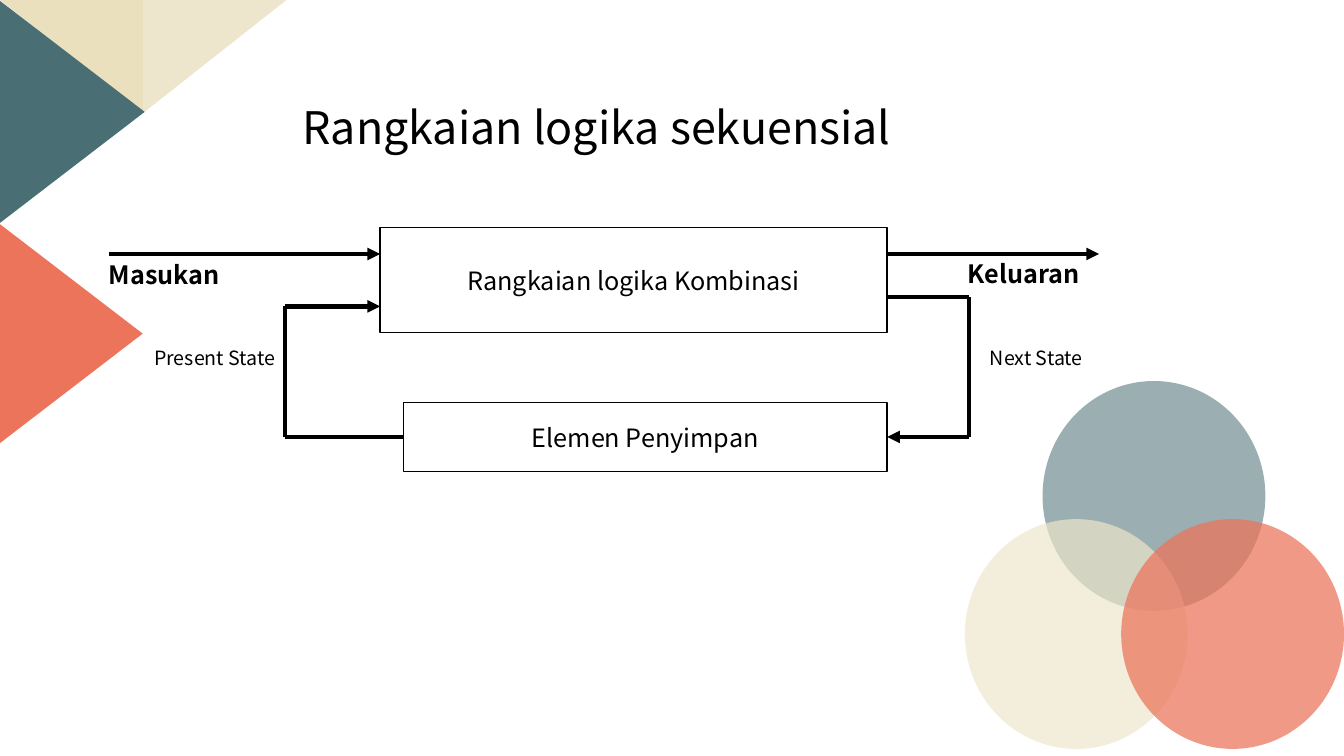
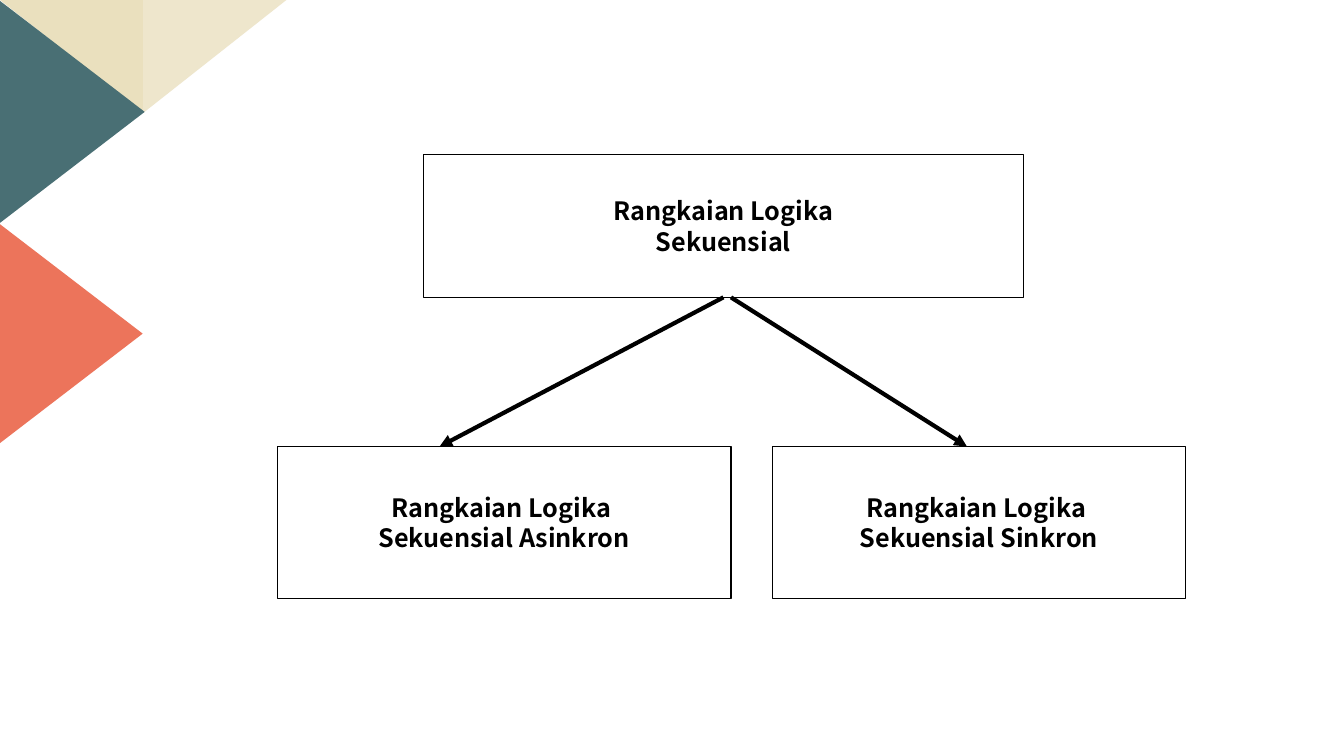
"""Two slides on sequential logic circuits: a block diagram and a classification tree."""
from lxml.etree import SubElement
from pptx import Presentation
from pptx.dml.color import RGBColor
from pptx.enum.shapes import MSO_CONNECTOR, MSO_SHAPE as SHAPE
from pptx.enum.text import MSO_ANCHOR as ANCHOR, MSO_AUTO_SIZE, PP_ALIGN as ALIGN
from pptx.oxml.ns import qn
from pptx.util import Inches, Pt

FONT = "Noto Sans CJK KR"
COLORS = {"ink": "000000", "paper": "FFFFFF", "teal": "496F74",
          "coral": "EC745B", "sand": "EAE0BE", "cream": "EEE6CC"}

TITLE = ("Rangkaian logika sekuensial", (2.9, 1, 6.3, 0.59))

CORNER_TRIANGLES = [
    (SHAPE.RIGHT_TRIANGLE, (0, 0, 1.42, 1.12), "sand", 180, False),
    (SHAPE.RIGHT_TRIANGLE, (1.42, 0, 1.42, 1.12), "cream", 180, True),
    (SHAPE.ISOSCELES_TRIANGLE, (-0.39, 0.39, 2.21, 1.44), "teal", 90, False),
    (SHAPE.ISOSCELES_TRIANGLE, (-0.41, 2.59, 2.21, 1.44), "coral", 90, False),
]

CIRCLE_SIZE = (2.21, 2.28)
CIRCLES = [(10.34, 3.78, "teal", 55), (9.57, 5.15, "cream", 69), (11.12, 5.15, "coral", 73)]

COMBINATION = (["Rangkaian logika Kombinasi"], (3.77, 2.26, 5.03, 1.04))
STORAGE = (["Elemen Penyimpan"], (4, 3.99, 4.8, 0.69))
LABELS = [
    ("Masukan", (0.98, 2.52, 1.99, 0.44), 18, True),
    ("Keluaran", (9.5, 2.51, 1.59, 0.77), 18, True),
    ("Present State", (1.43, 3.38, 1.52, 0.62), 14, False),
    ("Next State", (9.72, 3.38, 1.18, 0.57), 14, False),
]

SEQUENTIAL = (["Rangkaian Logika", "Sekuensial"], (4.2, 1.53, 5.95, 1.42))
KINDS = [
    (["Rangkaian Logika ", "Sekuensial Asinkron"], (2.75, 4.43, 4.5, 1.51)),
    (["Rangkaian Logika ", "Sekuensial Sinkron"], (7.66, 4.43, 4.1, 1.51)),
]


def place(box):
    return [Inches(value) for value in box]


def write(frame, lines, size, bold=False, align=ALIGN.LEFT):
    frame.text = "\n".join(lines)
    for paragraph in frame.paragraphs:
        paragraph.alignment = align
        font = paragraph.font
        font.name, font.size, font.bold = FONT, Pt(size), bold
        font.color.rgb = RGBColor.from_string(COLORS["ink"])


def add_filled(slide, kind, box, color, alpha=None):
    shape = slide.shapes.add_shape(kind, *place(box))
    shape.shadow.inherit = False
    shape.fill.solid()
    shape.fill.fore_color.rgb = RGBColor.from_string(COLORS[color])
    shape.line.fill.background()
    if alpha is not None:
        tint = shape.element.spPr.find(qn("a:solidFill"))[0]
        SubElement(tint, qn("a:alpha")).set("val", str(alpha * 1000))
    return shape


def add_block(slide, block, bold=False):
    lines, box = block
    shape = add_filled(slide, SHAPE.RECTANGLE, box, "paper")
    shape.line.color.rgb = RGBColor.from_string(COLORS["ink"])
    shape.line.width = Pt(1)
    shape.text_frame.word_wrap = False
    shape.text_frame.vertical_anchor = ANCHOR.MIDDLE
    write(shape.text_frame, lines, 18, bold, ALIGN.CENTER)
    return shape


def add_path(slide, points, arrow=True):
    """Join the points with straight segments, the last one with an arrowhead."""
    segments = []
    for start, end in zip(points, points[1:]):
        segment = slide.shapes.add_connector(MSO_CONNECTOR.STRAIGHT, *place(start + end))
        segment.line.color.rgb = RGBColor.from_string(COLORS["ink"])
        segment.line.width = Pt(3)
        SubElement(segment.element.spPr, qn("a:effectLst"))
        segments.append(segment)
    if arrow:
        outline = segments[-1].element.spPr.find(qn("a:ln"))
        SubElement(outline, qn("a:tailEnd")).set("type", "triangle")
    return segments


def decorate_master(prs, slide):
    for position, (kind, box, color, turn, flipped) in enumerate(CORNER_TRIANGLES, 2):
        triangle = add_filled(slide, kind, box, color)
        triangle.rotation = turn
        if flipped:
            triangle.element.spPr.xfrm.set("flipH", "1")
        prs.slide_master.shapes.element.insert(position, triangle.element)


def build_diagram(slide):
    text, box = TITLE
    title = slide.shapes.title
    title.left, title.top, title.width, title.height = place(box)
    frame = title.text_frame
    frame.auto_size = MSO_AUTO_SIZE.NONE
    frame.vertical_anchor = ANCHOR.TOP
    write(frame, [text], 32)
    frame.paragraphs[0].line_spacing = 0.9

    for left, top, color, alpha in CIRCLES:
        add_filled(slide, SHAPE.OVAL, (left, top, *CIRCLE_SIZE), color, alpha)

    add_block(slide, COMBINATION)
    storage = add_block(slide, STORAGE)
    left, top, width, height = COMBINATION[1]
    right = left + width
    store_left, store_top, _, store_height = STORAGE[1]
    store_y = store_top + store_height / 2
    add_path(slide, [(1.08, 2.52), (left, 2.52)])
    add_path(slide, [(right, 2.52), (10.9, 2.52)])
    present = add_path(slide, [(store_left, store_y), (2.83, store_y), (2.83, 3.04), (left, 3.04)])
    present[0].begin_connect(storage, 1)
    following = add_path(slide, [(right, 2.95), (9.61, 2.95), (9.61, store_y), (right, store_y)])
    following[-1].end_connect(storage, 3)

    for text, box, size, bold in LABELS:
        label = slide.shapes.add_textbox(*place(box))
        label.text_frame.word_wrap = True
        write(label.text_frame, [text], size, bold)


def build_tree(slide):
    parent = add_block(slide, SEQUENTIAL, bold=True)
    for kind in KINDS:
        add_block(slide, kind, bold=True)
    left, top, width, height = SEQUENTIAL[1]
    middle, bottom = left + width / 2, top + height
    child_top = KINDS[0][1][1]
    to_async, = add_path(slide, [(middle, bottom), (4.36, child_top)])
    to_async.begin_connect(parent, 2)
    add_path(slide, [(7.25, bottom), (9.59, child_top)])


def main():
    prs = Presentation()
    prs.slide_width, prs.slide_height = Inches(13.33), Inches(7.5)
    diagram = prs.slides.add_slide(prs.slide_layouts[5])
    tree = prs.slides.add_slide(prs.slide_layouts[6])
    decorate_master(prs, diagram)
    build_diagram(diagram)
    build_tree(tree)
    prs.save("out.pptx")


if __name__ == "__main__":
    main()
